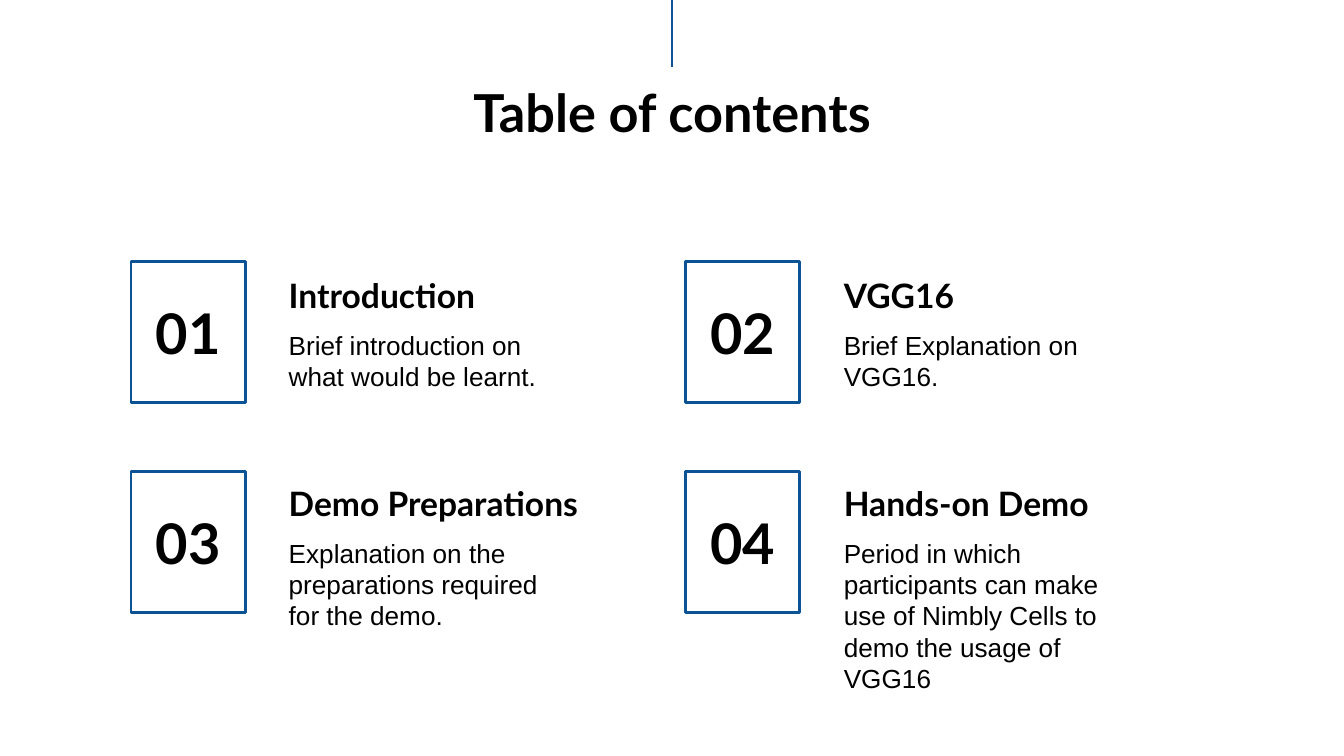
from lxml.etree import SubElement
from pptx import Presentation
from pptx.dml.color import RGBColor
from pptx.enum.shapes import MSO_CONNECTOR as Connector, MSO_SHAPE as Shape
from pptx.enum.text import MSO_ANCHOR as Anchor, PP_ALIGN as Align
from pptx.oxml.ns import qn
from pptx.util import Pt

PX = 4572
BLUE = "0B5394"
BLACK = "000000"


def color(value):
    return RGBColor.from_string(value)


def write(shape, text, size, font="Lato", bold=True, align=Align.LEFT, anchor=Anchor.TOP):
    frame = shape.text_frame
    frame.word_wrap = True
    frame.vertical_anchor = anchor
    frame.margin_left = frame.margin_right = 20 * PX
    frame.margin_top = frame.margin_bottom = 20 * PX
    paragraph = frame.paragraphs[0]
    paragraph.alignment = align
    run = paragraph.add_run()
    run.text = text
    run.font.name = font
    run.font.size = Pt(size)
    run.font.bold = bold
    run.font.color.rgb = color(BLACK)


presentation = Presentation()
presentation.slide_width = 2000 * PX
presentation.slide_height = 1125 * PX
slide = presentation.slides.add_slide(presentation.slide_layouts[5])
shapes = slide.shapes

line = shapes.add_connector(Connector.STRAIGHT, 1000 * PX, 0, 1000 * PX, 100 * PX)
line.line.color.rgb = color(BLUE)
line.line.width = Pt(1.5)
SubElement(line._element.spPr, qn("a:effectLst"))

title = shapes.title
title.left, title.top, title.width, title.height = 157 * PX, 100 * PX, 1686 * PX, 118 * PX
write(title, "Table of contents", 28, align=Align.CENTER)

columns = [(195, 410), (1020, 1236)]
rows = [(389, 389, 470), (702, 699, 779)]
sections = [
    ("Introduction", "Brief introduction on what would be learnt.", 130),
    ("VGG16", "Brief Explanation on VGG16.", 130),
    ("Demo Preparations", "Explanation on the preparations required for the demo.", 182),
    ("Hands-on Demo", "Period in which participants can make use of Nimbly Cells to demo the usage of VGG16", 270),
]

for index, (heading, description, height) in enumerate(sections):
    box_left, text_left = columns[index % 2]
    box_top, heading_top, description_top = rows[index // 2]

    heading_box = shapes.add_textbox(text_left * PX, heading_top * PX, 598 * PX, 88 * PX)
    write(heading_box, heading, 18)

    number_box = shapes.add_shape(Shape.RECTANGLE, box_left * PX, box_top * PX, 170 * PX, 210 * PX)
    number_box.shadow.inherit = False
    number_box.fill.background()
    number_box.line.color.rgb = color(BLUE)
    number_box.line.width = Pt(1.5)
    write(number_box, f"{index + 1:02}", 30, align=Align.CENTER, anchor=Anchor.MIDDLE)

    description_box = shapes.add_textbox(text_left * PX, description_top * PX, 460 * PX, height * PX)
    write(description_box, description, 14, font="Arial", bold=False)

presentation.save("out.pptx")
